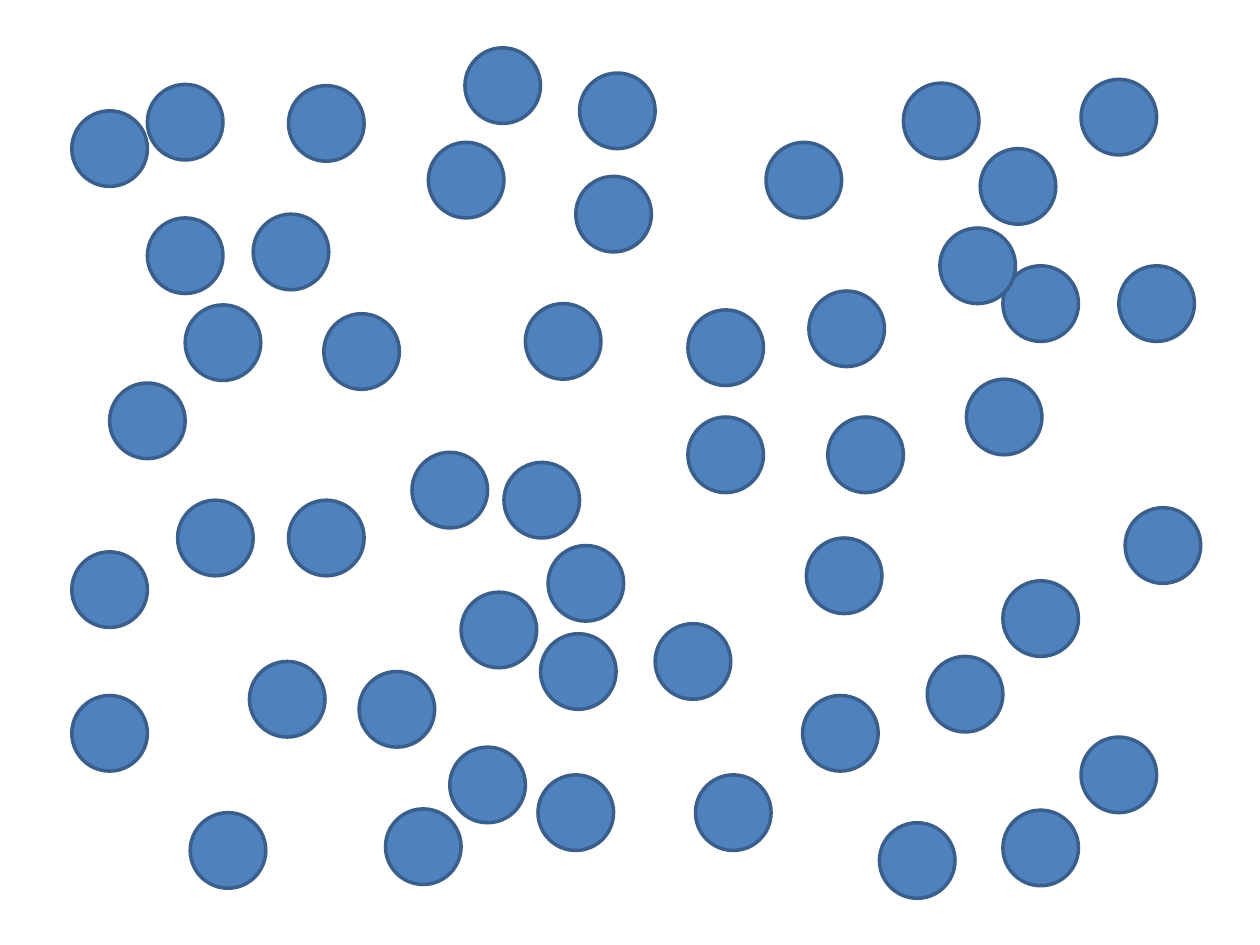
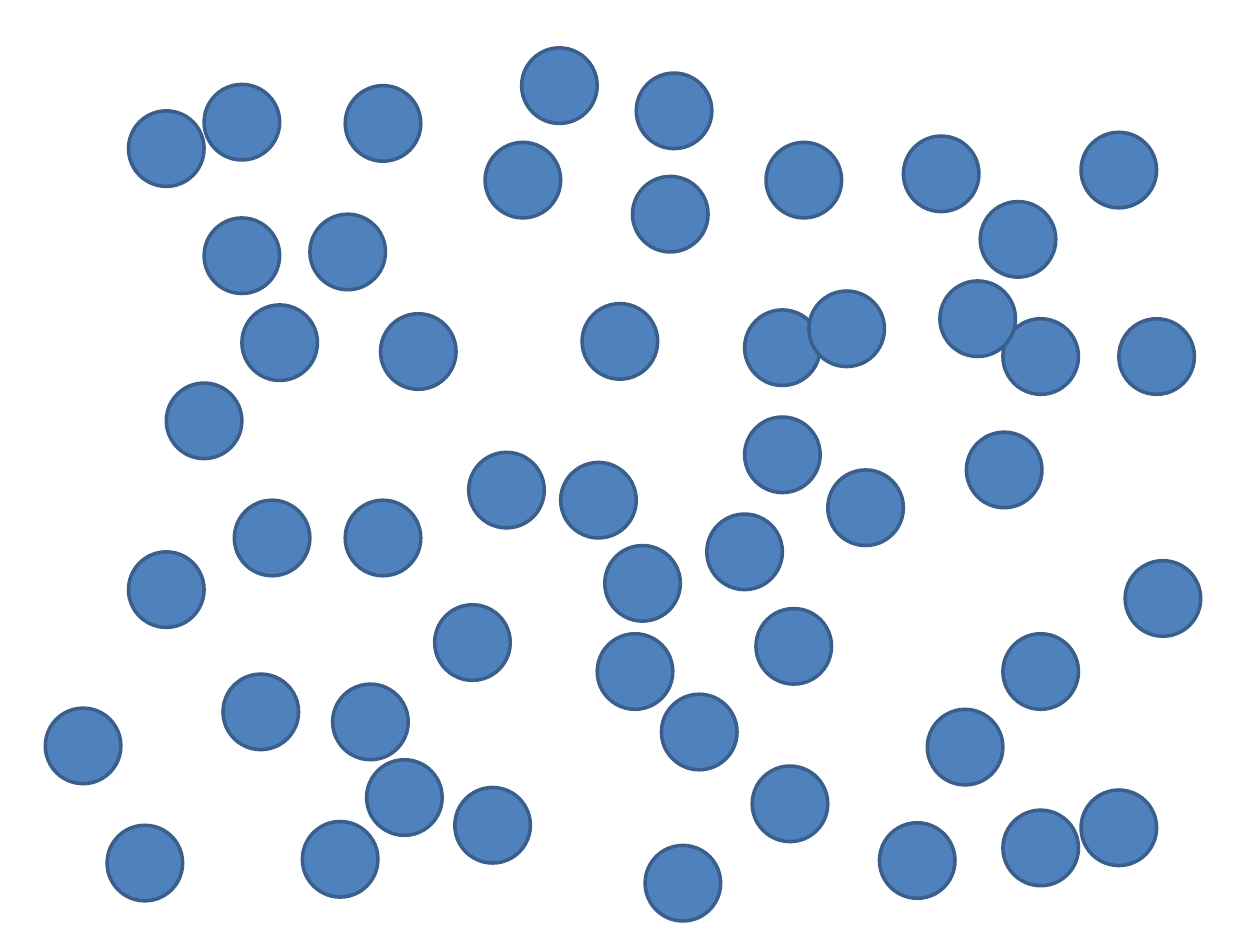
"""Two slides of scattered dots; on the second each cluster has drifted."""
from pptx import Presentation
from pptx.dml.color import RGBColor
from pptx.enum.shapes import MSO_SHAPE as Shape
from pptx.util import Inches, Pt

WIDE, HIGH = Inches(10), Inches(7.5)
COLS, ROWS = 1000, 750
SIZE = 60
FILL, EDGE = "4F81BD", "3A5F8C"

# Each cluster: its drift in columns and rows, then its dots by column and row.
GROUPS = [
    ((45, 0), [
        (117, 67), (400, 367), (340, 113), (87, 304), (257, 249), (546, 246),
        (229, 397), (460, 58), (417, 241), (57, 88), (117, 173), (429, 503),
        (369, 38), (57, 438), (141, 397), (435, 433), (546, 331), (229, 68),
        (327, 359), (457, 140), (147, 242), (201, 170)]),
    ((0, 0), [(608, 113), (796, 643), (642, 231), (698, 653)]),
    ((-21, 10), [(198, 525), (57, 552), (366, 470), (285, 533)]),
    ((0, 42), [
        (767, 301), (858, 63), (858, 585), (888, 211), (893, 403), (717, 66),
        (796, 461), (736, 521), (796, 211), (778, 118), (657, 331), (746, 181)]),
    ((-40, 56), [(637, 552), (640, 427), (552, 615)]),
    ((-66, 10), [(427, 615), (151, 645), (306, 642), (357, 593)]),
    ((5, 56), [(520, 495)]),
]
EXTRA = (561, 408)


def paint(color, code):
    """Set a colour format from a hex string."""
    color.rgb = RGBColor.from_string(code)


def add_dot(slide, col, row):
    """Draw one dot with its top left corner on the grid."""
    dot = slide.shapes.add_shape(
        Shape.OVAL, WIDE * col // COLS, HIGH * row // ROWS,
        WIDE * SIZE // COLS, HIGH * SIZE // ROWS)
    dot.shadow.inherit = False
    dot.fill.solid()
    paint(dot.fill.fore_color, FILL)
    paint(dot.line.color, EDGE)
    dot.line.width = Pt(2)


def add_field(deck, step):
    """Add a slide with every cluster moved by a number of drifts."""
    slide = deck.slides.add_slide(deck.slide_layouts[6])
    for (right, down), dots in GROUPS:
        for col, row in dots:
            add_dot(slide, col + step * right, row + step * down)
    return slide


def main():
    """Build and save the deck."""
    deck = Presentation()
    deck.slide_width, deck.slide_height = WIDE, HIGH
    add_field(deck, 0)
    moved = add_field(deck, 1)
    add_dot(moved, *EXTRA)
    deck.save("out.pptx")


if __name__ == "__main__":
    main()
